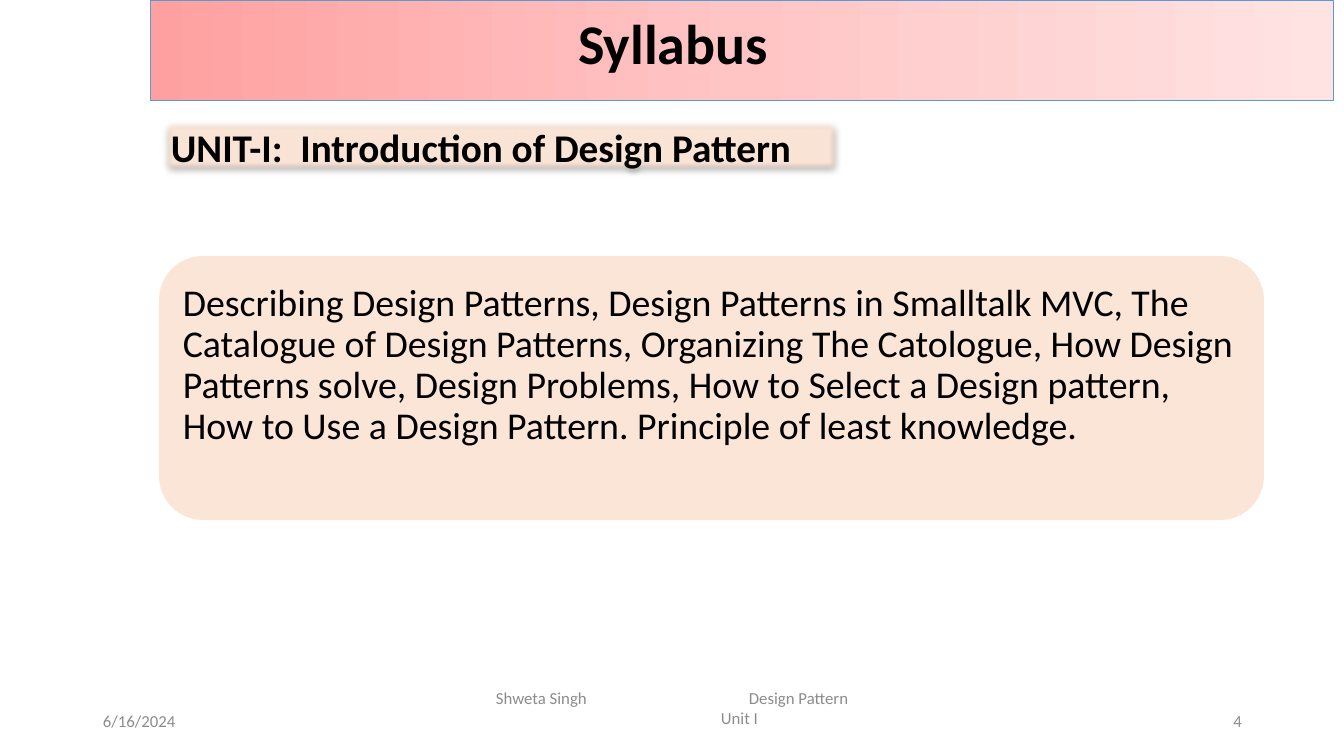
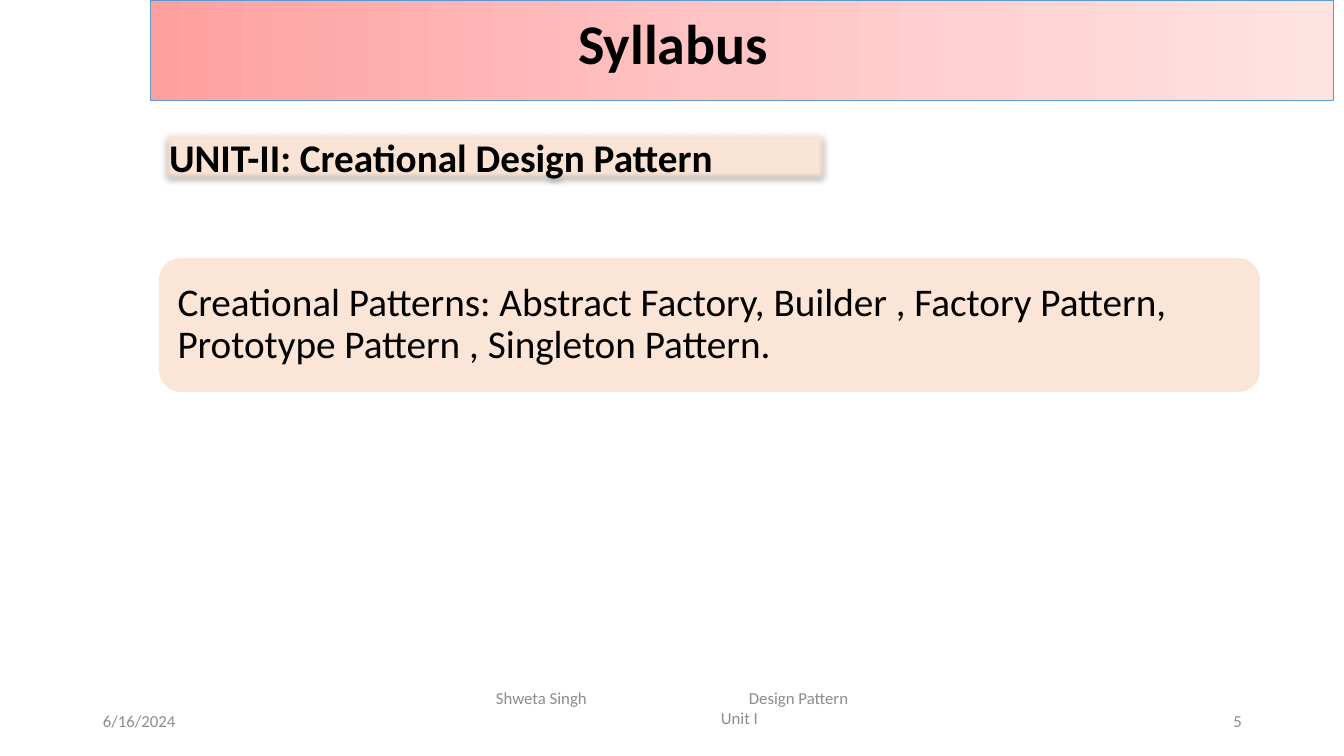
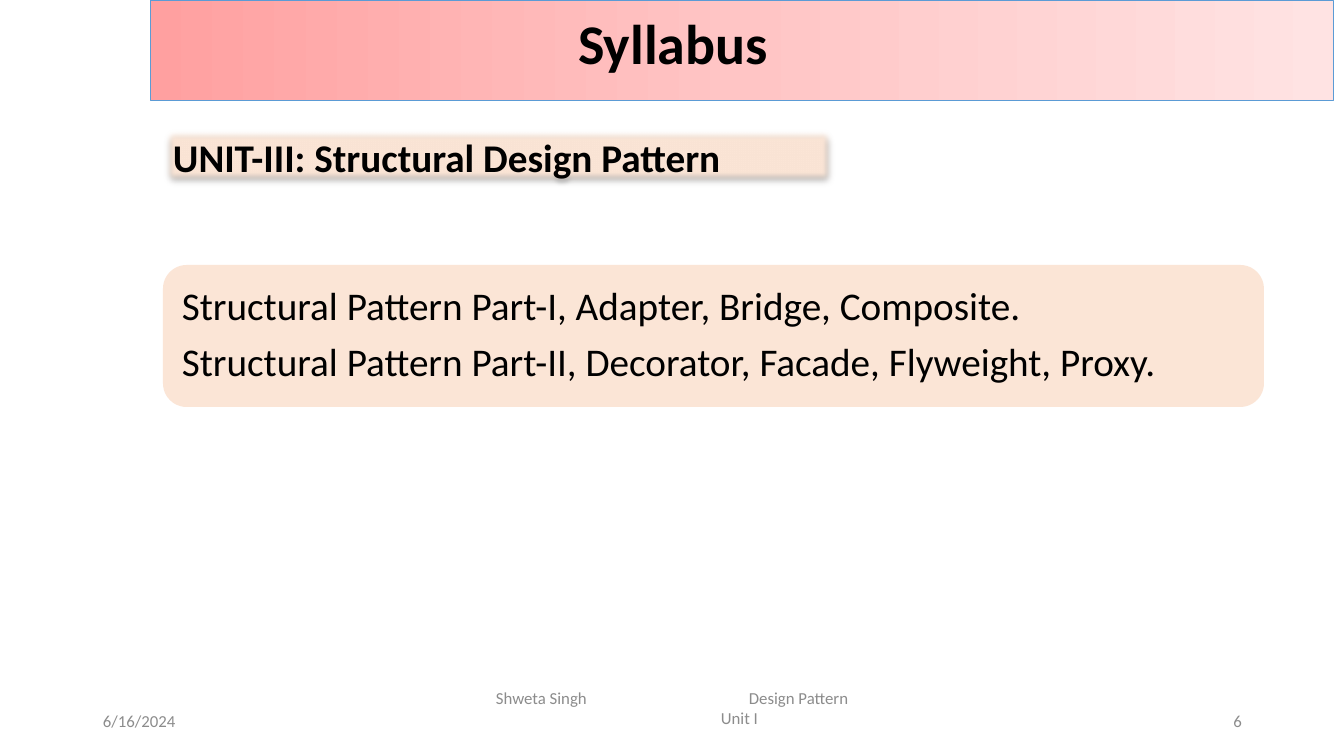
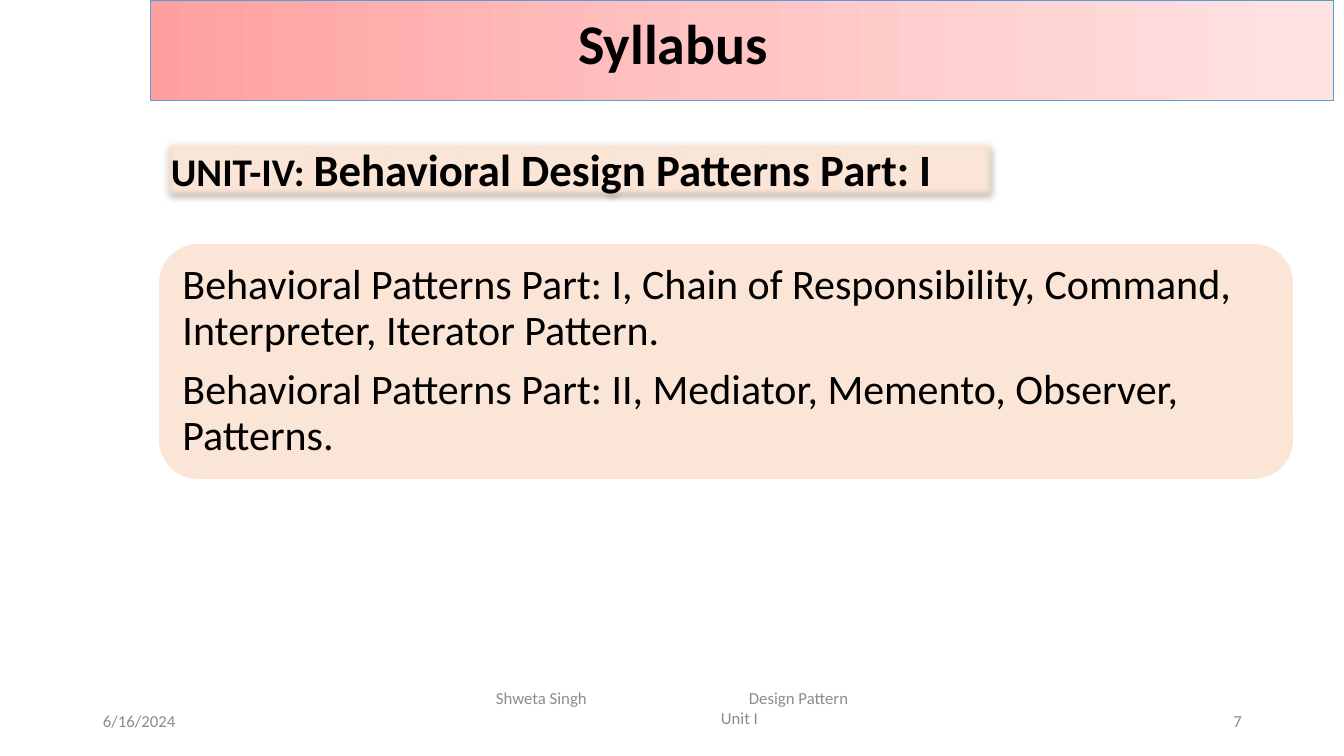
from lxml import etree
from pptx import Presentation
from pptx.dml.color import RGBColor
from pptx.enum.shapes import MSO_SHAPE
from pptx.enum.text import MSO_ANCHOR, PP_ALIGN
from pptx.oxml.ns import qn
from pptx.util import Emu, Pt

RECTANGLE, ROUNDED = MSO_SHAPE.RECTANGLE, MSO_SHAPE.ROUNDED_RECTANGLE
TOP, MIDDLE = MSO_ANCHOR.TOP, MSO_ANCHOR.MIDDLE
LEFT, CENTER = PP_ALIGN.LEFT, PP_ALIGN.CENTER
RIGHT, JUSTIFY = PP_ALIGN.RIGHT, PP_ALIGN.JUSTIFY

EMU_PER_PX = 914400 / 100.8
SLIDE_SIZE = (1344, 756)
FONT = "Calibri"
COLORS = {
    "text": "000000",
    "footer": "8C8C8C",
    "panel": "FBE5D6",
    "band_line": "5B9BD5",
    "shadow": "000000",
}
BAND_STOPS = [(0, "FFA0A0"), (50, "FFC5C5"), (100, "FFE3E3")]

BAND_BOX = (150, 0, 1183, 100)
TITLE_BOX = (337, 3, 672, 78)
DATE_BOX = (93, 701, 302, 40)
COURSE_BOX = (479, 688, 521, 40)
NUMBER_BOX = (950, 701, 302, 40)
COURSE_TAB = 253
TEXT_INSETS = (10, 5, 10, 5)
FIRST_NUMBER = 4

UNITS = [
    {
        "heading_box": (161, 118, 681, 57),
        "heading": [("UNIT-I:  Introduction of Design Pattern", 28)],
        "topics_box": (159, 256, 1105, 264),
        "topics": [
            "Describing Design Patterns, Design Patterns in Smalltalk MVC, The "
            "Catalogue of Design Patterns, Organizing The Catologue, How Design "
            "Patterns solve, Design Problems, How to Select a Design pattern, "
            "How to Use a Design Pattern. Principle of least knowledge.",
        ],
        "topics_size": 27,
        "topics_insets": (11, 11, 11, 55),
    },
    {
        "heading_box": (159, 128, 672, 57),
        "heading": [("UNIT-II: Creational Design Pattern", 28)],
        "topics_box": (159, 258, 1101, 134),
        "topics": [
            "Creational Patterns: Abstract Factory, Builder , Factory Pattern, "
            "Prototype Pattern , Singleton Pattern.",
        ],
        "topics_size": 28,
        "topics_insets": (12, 12, 12, 12),
    },
    {
        "heading_box": (163, 128, 672, 57),
        "heading": [("UNIT-III: Structural Design Pattern", 28)],
        "topics_box": (163, 265, 1101, 142),
        "topics": [
            "Structural Pattern Part-I, Adapter, Bridge, Composite.",
            "Structural Pattern Part-II, Decorator, Facade, Flyweight, Proxy.",
        ],
        "topics_size": 28,
        "topics_insets": (12, 12, 12, 12),
    },
    {
        "heading_box": (161, 137, 838, 65),
        "heading": [("UNIT-IV: ", 28), ("Behavioral Design Patterns Part: I", 32)],
        "topics_box": (159, 244, 1134, 235),
        "topics": [
            "Behavioral Patterns Part: I, Chain of Responsibility, Command, "
            "Interpreter, Iterator Pattern.",
            "Behavioral Patterns Part: II, Mediator, Memento, Observer, Patterns.",
        ],
        "topics_size": 30,
        "topics_insets": (12, 12, 12, 12),
    },
]


def px(length):
    return Emu(round(length * EMU_PER_PX))


def add_panel(slide, kind, box):
    shape = slide.shapes.add_shape(kind, *map(px, box))
    shape.shadow.inherit = False
    shape.fill.solid()
    shape.fill.fore_color.rgb = RGBColor.from_string(COLORS["panel"])
    shape.line.fill.background()
    return shape


def add_text_box(slide, box):
    return slide.shapes.add_textbox(*map(px, box))


def set_frame(shape, anchor=TOP, insets=TEXT_INSETS):
    frame = shape.text_frame
    left, top, right, bottom = map(px, insets)
    settings = {
        "word_wrap": True, "vertical_anchor": anchor,
        "margin_left": left, "margin_top": top,
        "margin_right": right, "margin_bottom": bottom,
    }
    for name, value in settings.items():
        setattr(frame, name, value)
    return frame


def write_paragraphs(frame, paragraphs, color="text", bold=False, **layout):
    """Fill a frame with paragraphs, each a list of (text, size) runs."""
    for index, runs in enumerate(paragraphs):
        paragraph = frame.add_paragraph() if index else frame.paragraphs[0]
        for name, value in layout.items():
            setattr(paragraph, name, value)
        for text, size in runs:
            run = paragraph.add_run()
            run.text = text
            style = {"name": FONT, "size": Pt(size), "bold": bold}
            for name, value in style.items():
                setattr(run.font, name, value)
            run.font.color.rgb = RGBColor.from_string(COLORS[color])


def add_element(parent, tag, **attributes):
    values = {name: str(value) for name, value in attributes.items()}
    return etree.SubElement(parent, qn(tag), values)


def add_title_band(slide, box):
    band = add_panel(slide, RECTANGLE, box)
    band.fill.gradient()
    band.fill.gradient_angle = 0
    stops = band.element.spPr.find(".//" + qn("a:gsLst"))
    for stop in list(stops):
        stops.remove(stop)
    for position, color in BAND_STOPS:
        stop = add_element(stops, "a:gs", pos=position * 1000)
        add_element(stop, "a:srgbClr", val=color)
    band.line.color.rgb = RGBColor.from_string(COLORS["band_line"])
    band.line.width = Pt(0.5)


def add_title(slide, box, text):
    frame = set_frame(add_text_box(slide, box))
    write_paragraphs(frame, [[(text, 40)]], bold=True, alignment=CENTER)


def add_course_footer(slide, box):
    frame = set_frame(add_text_box(slide, box), MIDDLE, (17, 5, 17, 5))
    properties = frame.paragraphs[0]._p.get_or_add_pPr()
    tabs = add_element(properties, "a:tabLst")
    add_element(tabs, "a:tab", pos=px(COURSE_TAB), algn="l")
    lines = [[("Shweta Singh\tDesign Pattern", 12)], [("Unit I", 12)]]
    write_paragraphs(frame, lines, color="footer")
    for paragraph, alignment in zip(frame.paragraphs, (LEFT, CENTER)):
        paragraph.alignment = alignment


def add_footer(slide, number):
    fields = [(DATE_BOX, "6/16/2024", LEFT), (NUMBER_BOX, str(number), RIGHT)]
    for box, text, alignment in fields:
        frame = set_frame(add_text_box(slide, box), MIDDLE)
        write_paragraphs(frame, [[(text, 12)]], "footer", alignment=alignment)
    add_course_footer(slide, COURSE_BOX)


def add_heading(slide, box, runs):
    """Add a unit heading on a soft-edged panel with a drop shadow."""
    panel = add_panel(slide, RECTANGLE, box)
    effects = panel.element.spPr.find(qn("a:effectLst"))
    shadow = add_element(effects, "a:outerShdw", blurRad=Pt(3.1),
                         dist=Pt(1.8), dir=5400000, rotWithShape=0)
    color = add_element(shadow, "a:srgbClr", val=COLORS["shadow"])
    add_element(color, "a:alpha", val=35000)
    add_element(effects, "a:softEdge", rad=Pt(5))
    write_paragraphs(set_frame(panel), [runs], bold=True, alignment=JUSTIFY)


def add_topics(slide, box, topics, size, insets):
    frame = set_frame(add_panel(slide, ROUNDED, box), MIDDLE, insets)
    write_paragraphs(frame, [[(topic, size)] for topic in topics],
                     alignment=LEFT, line_spacing=0.9, space_after=Pt(10))


def add_unit_slide(presentation, unit, number):
    slide = presentation.slides.add_slide(presentation.slide_layouts[6])
    add_title_band(slide, BAND_BOX)
    add_footer(slide, number)
    add_heading(slide, unit["heading_box"], unit["heading"])
    add_topics(slide, unit["topics_box"], unit["topics"],
               unit["topics_size"], unit["topics_insets"])
    add_title(slide, TITLE_BOX, "Syllabus")


def main():
    presentation = Presentation()
    presentation.slide_width, presentation.slide_height = map(px, SLIDE_SIZE)
    for number, unit in enumerate(UNITS, FIRST_NUMBER):
        add_unit_slide(presentation, unit, number)
    presentation.save("out.pptx")


if __name__ == "__main__":
    main()
